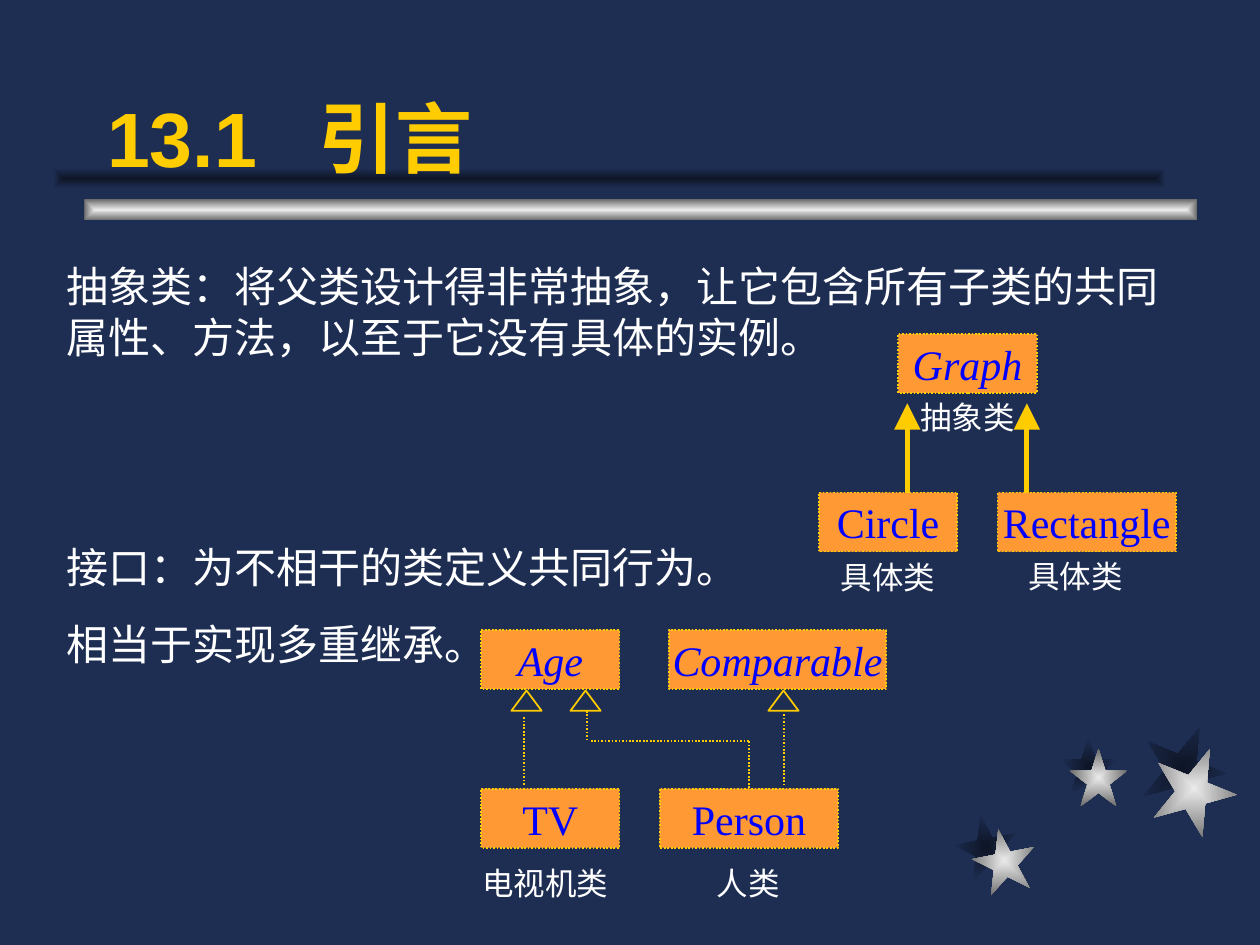
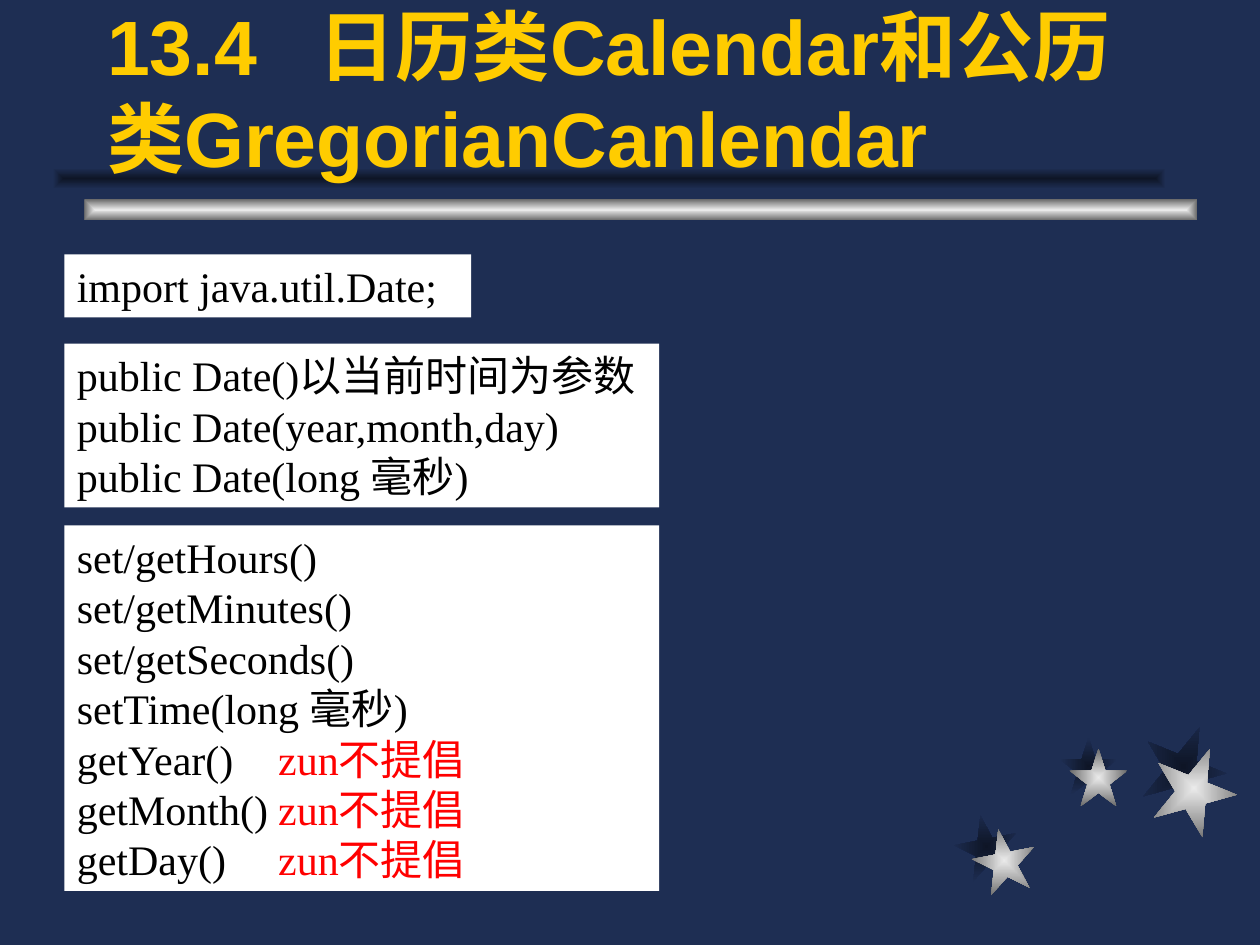
from pptx import Presentation
from pptx import util as u
from pptx.dml.color import RGBColor
from pptx.enum import dml, shapes, text
from pptx.oxml.ns import qn
from lxml import etree

NAVY = RGBColor(0x1E, 0x2E, 0x53)
DEEP_NAVY = RGBColor(0x0E, 0x15, 0x26)
SILVER = RGBColor(0xEA, 0xEA, 0xEA)
GREY = RGBColor(0x6C, 0x6C, 0x6C)
GOLD = RGBColor(0xFF, 0xCC, 0x00)
ORANGE = RGBColor(0xFF, 0x99, 0x33)
BLUE = RGBColor(0x00, 0x00, 0xFF)
RED = RGBColor(0xFF, 0x00, 0x00)
WHITE = RGBColor(0xFF, 0xFF, 0xFF)
BLACK = RGBColor(0x00, 0x00, 0x00)

SHADE = (DEEP_NAVY, NAVY)
METAL = (SILVER, GREY)
# left, top, size, rotation, gradient (cm and degrees)
STARS = [
    (19.25, 16.43, 1.27, 349, SHADE),
    (21.36, 14.86, 1.17, 0, SHADE),
    (23.01, 14.61, 1.7, 22, SHADE),
    (19.61, 16.71, 1.27, 349, METAL),
    (21.56, 15.09, 1.17, 0, METAL),
    (23.22, 15.04, 1.7, 22, METAL),
]
CLASS_WIDTH, WIDE_CLASS, CLASS_HEIGHT = 2.79, 3.6, 1.19
LEVEL_STEP = 3.2


def box_cm(left, top, width, height):
    return u.Cm(left), u.Cm(top), u.Cm(width), u.Cm(height)


def write(shape, paragraphs, size=24, color=WHITE, font="Times New Roman",
          bold=False, italic=False, align=text.PP_ALIGN.LEFT,
          anchor=text.MSO_ANCHOR.TOP, wrap=True, before=(), tab=None):
    """Each paragraph is a string or a list of (string, colour) runs."""
    frame = shape.text_frame
    frame.word_wrap = wrap
    frame.vertical_anchor = anchor
    for index, content in enumerate(paragraphs):
        paragraph = frame.add_paragraph() if index else frame.paragraphs[0]
        paragraph.alignment = align
        if index and before:
            paragraph.space_before = u.Pt(before[index])
        if tab:
            stops = etree.SubElement(paragraph._p.get_or_add_pPr(), qn("a:tabLst"))
            etree.SubElement(stops, qn("a:tab"), pos=str(u.Cm(tab)), algn="l")
        runs = [(content, color)] if isinstance(content, str) else content
        for words, run_color in runs:
            run = paragraph.add_run()
            run.text = words
            run.font.size = u.Pt(size)
            run.font.name = font
            run.font.bold = bold
            run.font.italic = italic
            run.font.color.rgb = run_color


def add_text(slide, box, paragraphs, **style):
    write(slide.shapes.add_textbox(*box_cm(*box)), paragraphs, **style)


def add_shape(slide, kind, box, fill=None, line=None):
    shape = slide.shapes.add_shape(kind, *box_cm(*box))
    shape.shadow.inherit = False
    if fill is None:
        shape.fill.background()
    else:
        shape.fill.solid()
        shape.fill.fore_color.rgb = fill
    if line is None:
        shape.line.fill.background()
    else:
        shape.line.color.rgb = line
        shape.line.width = u.Pt(1)
    return shape


def glow(shape, colors):
    """Fill with a gradient that runs from the centre to the edges."""
    shape.fill.gradient()
    for stop, color in zip(shape.fill.gradient_stops, colors):
        stop.color.rgb = color
    gradient = shape._element.spPr.find(qn("a:gradFill"))
    gradient.remove(gradient.find(qn("a:lin")))
    path = etree.SubElement(gradient, qn("a:path"), path="rect")
    etree.SubElement(path, qn("a:fillToRect"),
                     {side: "50000" for side in "ltrb"})


def add_line(slide, x1, y1, x2, y2, arrow=False):
    """A thick solid arrow, or a thin dotted line."""
    line = slide.shapes.add_connector(shapes.MSO_CONNECTOR.STRAIGHT,
                                      *box_cm(x1, y1, x2, y2))
    line.line.color.rgb = GOLD
    line.line.width = u.Pt(3 if arrow else 1)
    if arrow:
        etree.SubElement(line.line._get_or_add_ln(), qn("a:tailEnd"),
                         type="triangle", w="lg", len="lg")
    else:
        line.line.dash_style = dml.MSO_LINE.ROUND_DOT
    etree.SubElement(line._element.spPr, qn("a:effectLst"))
    return line


def class_box(slide, name, left, top, width=CLASS_WIDTH, italic=False):
    shape = add_shape(slide, shapes.MSO_SHAPE.RECTANGLE,
                      (left, top, width, CLASS_HEIGHT), ORANGE, GOLD)
    shape.line.dash_style = dml.MSO_LINE.ROUND_DOT
    write(shape, [name], color=BLUE, italic=italic, wrap=False,
          align=text.PP_ALIGN.CENTER, anchor=text.MSO_ANCHOR.MIDDLE)
    return shape


def class_label(slide, words, left, top, width=CLASS_WIDTH):
    add_text(slide, (left, top, width, 1.02), [words], size=18,
             align=text.PP_ALIGN.CENTER)


def themed_slide(deck, title):
    slide = deck.slides.add_slide(deck.slide_layouts[6])
    slide.background.fill.solid()
    slide.background.fill.fore_color.rgb = NAVY
    for left, top, size, rotation, colors in STARS:
        star = add_shape(slide, shapes.MSO_SHAPE.STAR_5_POINT, (left, top, size, size))
        glow(star, colors)
        star.rotation = rotation
    for left, top, colors in ((1.7, 4.02, METAL), (1.07, 3.39, SHADE)):
        bar = add_shape(slide, shapes.MSO_SHAPE.RECTANGLE, (left, top, 22.43, 0.42))
        glow(bar, colors)
    add_text(slide, (1.91, 0.64, 21.59, 3.17), [title], size=44, color=GOLD,
             font="Arial", bold=True, anchor=text.MSO_ANCHOR.BOTTOM, tab=4.27)
    return slide


def abstract_class_diagram(slide, left, top):
    class_box(slide, "Graph", left + 1.6, top, italic=True)
    class_box(slide, "Circle", left, top + LEVEL_STEP)
    class_box(slide, "Rectangle", left + 3.6, top + LEVEL_STEP, WIDE_CLASS)
    for x in (left + 1.78, left + 4.19):
        add_line(slide, x, top + LEVEL_STEP, x, top + 1.4, arrow=True)
    class_label(slide, "抽象类", left + 1.6, top + 1.17)
    class_label(slide, "具体类", left, top + 4.39)
    class_label(slide, "具体类", left + 3.78, top + 4.37)


def interface_diagram(slide, left, top):
    class_box(slide, "Age", left, top, italic=True)
    class_box(slide, "Comparable", left + 3.78, top, 4.39, italic=True)
    class_box(slide, "TV", left, top + LEVEL_STEP)
    person = class_box(slide, "Person", left + 3.6, top + LEVEL_STEP, WIDE_CLASS)
    class_label(slide, "电视机类", left - 0.41, top + 4.6, 3.4)
    class_label(slide, "人类", left + 3.99, top + 4.6)
    for x in (0.61, 1.8, 5.79):
        add_shape(slide, shapes.MSO_SHAPE.ISOSCELES_TRIANGLE,
                  (left + x, top + 1.22, 0.61, 0.41), line=GOLD)
    person_x, bend_y = left + 3.6 + WIDE_CLASS / 2, top + 2.24
    add_line(slide, left + 0.86, top + 3.12, left + 0.86, top + 1.73)
    add_line(slide, left + 6.1, top + 1.7, left + 6.1, top + 3.1)
    add_line(slide, left + 2.13, top + 1.63, left + 2.13, bend_y)
    add_line(slide, left + 2.21, bend_y, person_x, bend_y)
    person_link = add_line(slide, person_x, bend_y, person_x, top + LEVEL_STEP)
    person_link.end_connect(person, 0)


def code_panel(slide, box, lines):
    panel = add_shape(slide, shapes.MSO_SHAPE.RECTANGLE, box, WHITE)
    write(panel, lines, color=BLACK, tab=4.06)


def introduction_slide(deck):
    slide = themed_slide(deck, "13.1\t引言")
    add_text(slide, (1.09, 5.13, 23.22, 8.48), [
        "抽象类：将父类设计得非常抽象，让它包含所有子类的共同属性、方法，以至于它没有具体的实例。",
        "接口：为不相干的类定义共同行为。",
        "相当于实现多重继承。",
    ], before=(0, 103, 15))
    abstract_class_diagram(slide, 16.51, 6.73)
    interface_diagram(slide, 9.7, 12.7)


def calendar_slide(deck):
    slide = themed_slide(deck, "13.4\t日历类Calendar和公历类GregorianCanlendar")
    left, wide = 1.3, 11.99
    code_panel(slide, (left, 5.13, 8.2, 1.27), ["import java.util.Date;"])
    code_panel(slide, (left, 6.93, wide, 3.3), [
        "public Date()以当前时间为参数",
        "public Date(year,month,day)",
        "public Date(long 毫秒)",
    ])
    discouraged = [[(f"{getter}\t", BLACK), ("zun不提倡", RED)]
                   for getter in ("getYear()", "getMonth()", "getDay()")]
    code_panel(slide, (left, 10.59, wide, 7.37), [
        "set/getHours()",
        "set/getMinutes()",
        "set/getSeconds()",
        "setTime(long 毫秒)",
        *discouraged,
    ])


def main():
    deck = Presentation()
    deck.slide_width, deck.slide_height = u.Cm(25.4), u.Cm(19.05)
    introduction_slide(deck)
    calendar_slide(deck)
    deck.save("out.pptx")


if __name__ == "__main__":
    main()
